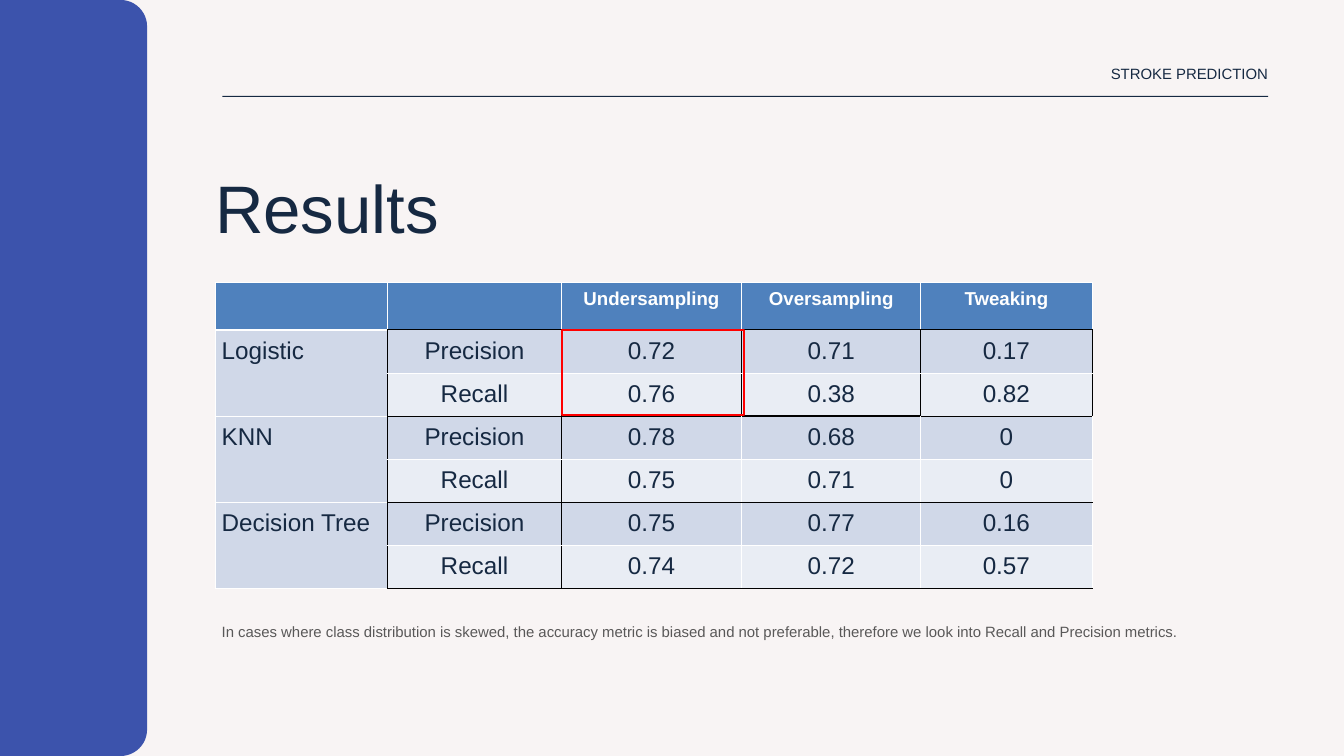
from lxml.etree import SubElement
from pptx import Presentation
from pptx.dml.color import RGBColor
from pptx.enum.shapes import MSO_SHAPE as Shape
from pptx.enum.text import MSO_AUTO_SIZE as AutoSize, PP_ALIGN as Align
from pptx.oxml.ns import qn
from pptx.util import Cm, Pt

NAVY = RGBColor(0x16, 0x29, 0x42)
CREAM = RGBColor(0xF8, 0xF4, 0xF4)
INDIGO = RGBColor(0x3C, 0x53, 0xAC)
HEADER_BLUE = RGBColor(0x4F, 0x81, 0xBD)
BAND_DARK = RGBColor(0xD0, 0xD8, 0xE8)
BAND_LIGHT = RGBColor(0xE9, 0xED, 0xF4)
GRAY = RGBColor(0x59, 0x58, 0x58)
RED = RGBColor(0xFF, 0x00, 0x00)
WHITE = RGBColor(0xFF, 0xFF, 0xFF)
BLACK = RGBColor(0x00, 0x00, 0x00)

METHODS = ["Undersampling", "Oversampling", "Tweaking"]
RESULTS = [
    ("Logistic", ["0.72", "0.71", "0.17"], ["0.76", "0.38", "0.82"]),
    ("KNN", ["0.78", "0.68", "0"], ["0.75", "0.71", "0"]),
    ("Decision Tree", ["0.75", "0.77", "0.16"], ["0.74", "0.72", "0.57"]),
]
COLUMN_WIDTHS = [6.53, 6.55, 6.83, 6.76, 6.48]
HEADER_HEIGHT = 1.8
ROW_HEIGHT = 1.63


def header_edges(column):
    bottom = (WHITE, 3) if column == 0 else (BLACK, 1)
    return {"L": (WHITE, 1), "R": (WHITE, 1), "T": (WHITE, 1), "B": bottom}


def model_edges(first_group):
    top = (WHITE, 3 if first_group else 1)
    return {"L": (WHITE, 1), "R": (BLACK, 1), "T": top, "B": (WHITE, 1)}


def score_edges(column, first_group, upper):
    open_sides = not first_group
    left = (WHITE, 1.5) if open_sides and column > 2 else (BLACK, 1)
    right = (BLACK, 1)
    if open_sides and column > 1:
        right = (WHITE, 1 if column == 4 else 1.5)
    weight = 1.5 if column == 3 else 1
    inner = (WHITE, 1.5 if column == 3 and open_sides else 1)
    outer = (BLACK, 1 if first_group and upper else weight)
    top, bottom = (outer, inner) if upper else (inner, outer)
    return {"L": left, "R": right, "T": top, "B": bottom}


class SlideBuilder:
    font = "Arial"

    def __init__(self, page):
        self.page = page

    def background(self, color):
        fill = self.page.background.fill
        fill.solid()
        fill.fore_color.rgb = color

    def add_text(self, frame, text, size, color, align=Align.LEFT, spacing=None, bold=False):
        para = frame.paragraphs[0]
        para.alignment = align
        para.line_spacing = spacing
        span = para.add_run()
        span.text = text
        span.font.name = self.font
        span.font.size = Pt(size)
        span.font.bold = bold
        span.font.color.rgb = color

    def text_box(self, left, top, width, height, text, size, color, inset=0, **style):
        box = self.page.shapes.add_textbox(Cm(left), Cm(top), Cm(width), Cm(height))
        frame = box.text_frame
        frame.word_wrap = True
        frame.auto_size = AutoSize.SHAPE_TO_FIT_TEXT
        frame.margin_left = frame.margin_right = Cm(inset)
        frame.margin_top = frame.margin_bottom = Cm(inset)
        self.add_text(frame, text, size, color, **style)

    def shape(self, kind, left, top, width, height, fill=None, line=None, weight=1):
        shape = self.page.shapes.add_shape(kind, Cm(left), Cm(top), Cm(width), Cm(height))
        shape.shadow.inherit = False
        if fill is None:
            shape.fill.background()
        else:
            shape.fill.solid()
            shape.fill.fore_color.rgb = fill
        if line is None:
            shape.line.fill.background()
        else:
            shape.line.color.rgb = line
            shape.line.width = Pt(weight)
        return shape

    def table(self, left, top, widths, heights):
        frame = self.page.shapes.add_table(
            len(heights), len(widths), Cm(left), Cm(top), Cm(sum(widths)), Cm(sum(heights))
        )
        table = frame.table
        table.horz_banding = False
        for column, width in zip(table.columns, widths):
            column.width = Cm(width)
        for row, height in zip(table.rows, heights):
            row.height = Cm(height)
        return table

    def cell(self, cell, fill, edges, text="", size=26, color=NAVY, align=Align.CENTER, bold=False):
        cell.margin_left = cell.margin_right = Cm(0.25)
        cell.margin_top = cell.margin_bottom = Cm(0.13)
        if text:
            self.add_text(cell.text_frame, text, size, color, align, 1.15, bold)
        properties = cell._tc.get_or_add_tcPr()
        for side, (edge_color, weight) in edges.items():
            line = SubElement(properties, qn(f"a:ln{side}"), w=str(Pt(weight)))
            solid = SubElement(line, qn("a:solidFill"))
            SubElement(solid, qn("a:srgbClr"), val=str(edge_color))
        cell.fill.solid()
        cell.fill.fore_color.rgb = fill


def add_results(builder):
    heights = [HEADER_HEIGHT] + [ROW_HEIGHT] * (2 * len(RESULTS))
    table = builder.table(8.13, 10.67, COLUMN_WIDTHS, heights)
    for column, title in enumerate(["", "", *METHODS]):
        builder.cell(table.cell(0, column), HEADER_BLUE, header_edges(column),
                     title, size=20, color=WHITE, bold=True)
    for group, (model, precision, recall) in enumerate(RESULTS):
        first_group = group == 0
        first_row = 1 + 2 * group
        table.cell(first_row, 0).merge(table.cell(first_row + 1, 0))
        metrics = [("Precision", precision, BAND_DARK), ("Recall", recall, BAND_LIGHT)]
        for offset, (metric, scores, band) in enumerate(metrics):
            row = first_row + offset
            upper = offset == 0
            builder.cell(table.cell(row, 0), BAND_DARK, model_edges(first_group),
                         model if upper else "", align=Align.LEFT)
            for column, value in enumerate([metric, *scores], start=1):
                builder.cell(table.cell(row, column), band,
                             score_edges(column, first_group, upper), value)


def main():
    deck = Presentation()
    deck.slide_width = Cm(50.8)
    deck.slide_height = Cm(28.58)
    builder = SlideBuilder(deck.slides.add_slide(deck.slide_layouts[6]))
    builder.background(CREAM)
    builder.shape(Shape.RECTANGLE, 8.41, 3.63, 39.52, 0.03, fill=NAVY)
    builder.text_box(33.81, 2.16, 14.12, 0.69, "STROKE PREDICTION", 16, NAVY,
                     align=Align.RIGHT, spacing=1.4)
    sidebar = builder.shape(Shape.ROUNDED_RECTANGLE, -3.53, 0, 9.09, 28.58, fill=INDIGO)
    sidebar.adjustments[0] = 0.11
    builder.text_box(8.13, 5.97, 25.68, 3.07, "Results", 72, NAVY, spacing=1.1)
    add_results(builder)
    builder.shape(Shape.RECTANGLE, 21.23, 12.47, 6.91, 3.23, line=RED, weight=2.25)
    builder.text_box(8.13, 23.27, 39.29, 1.19,
                     "In cases where class distribution is skewed, the accuracy metric is biased "
                     "and not preferable, therefore we look into Recall and Precision metrics.",
                     16, GRAY, inset=0.25)
    deck.save("out.pptx")


if __name__ == "__main__":
    main()
